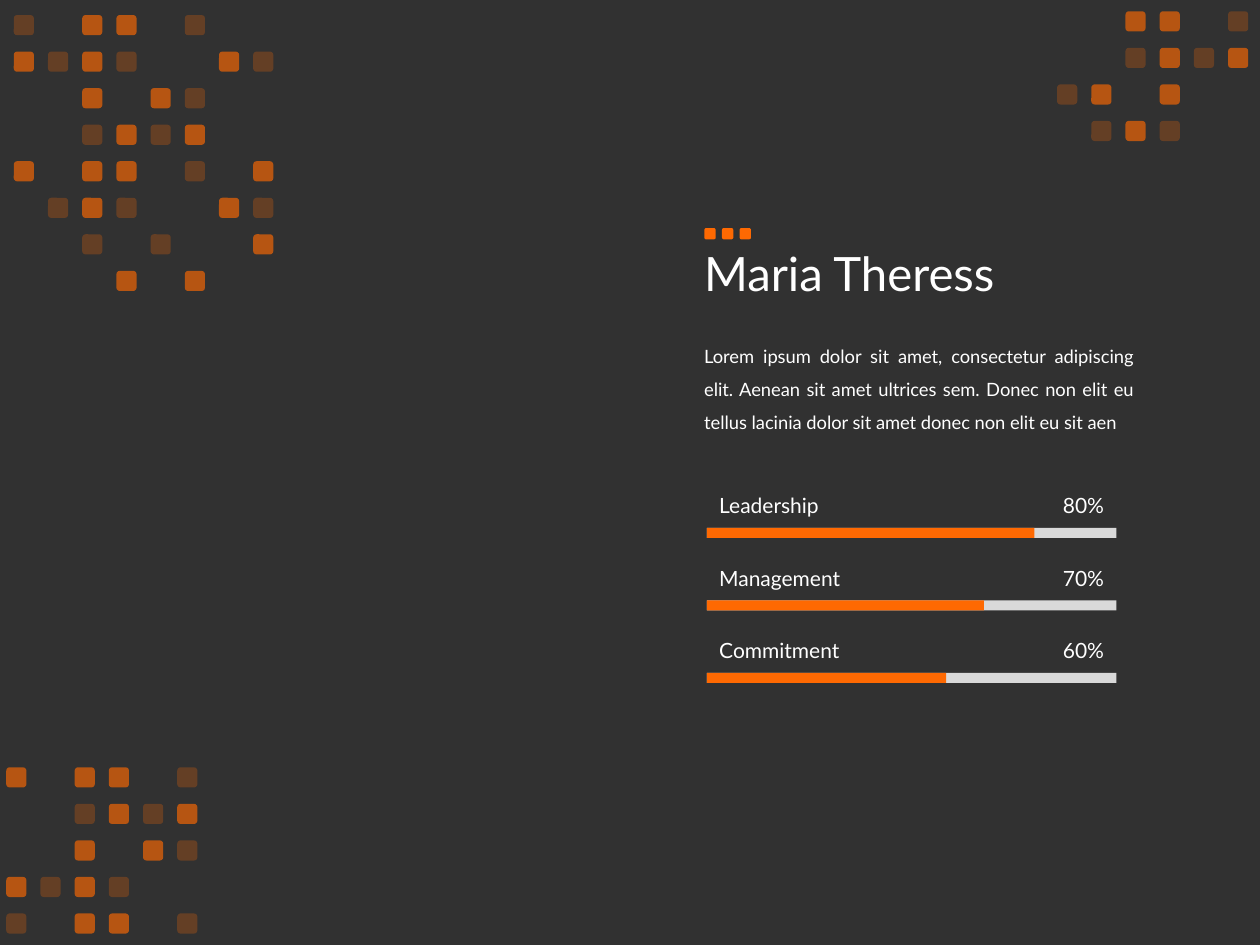
from lxml.etree import SubElement
from pptx import Presentation
from pptx.dml.color import RGBColor
from pptx.enum.shapes import MSO_SHAPE
from pptx.enum.text import MSO_ANCHOR, PP_ALIGN
from pptx.oxml.ns import qn
from pptx.util import Inches, Pt

BACKGROUND = RGBColor(0x31, 0x31, 0x31)
ORANGE = RGBColor(0xFE, 0x69, 0x02)
GREY = RGBColor(0xD9, 0xD9, 0xD9)
WHITE = RGBColor(0xFF, 0xFF, 0xFF)

NAME = "Maria Theress"
BIOGRAPHY = (
    "Lorem ipsum dolor sit amet, consectetur adipiscing elit. "
    "Aenean sit amet ultrices sem. Donec non elit eu tellus lacinia "
    "dolor sit amet donec non elit eu sit aen"
)
# label, value, length of the filled part
SKILLS = [
    ("Leadership", "80%", 2.6),
    ("Management", "70%", 2.2),
    ("Commitment", "60%", 1.9),
]

# Opacity in percent of each kind of square; "." is an empty cell
OPACITY = {"#": 65, "+": 25}
# left, top, rows
MOSAICS = [
    (0.05, 6.09, ["#.##.+",
                  "..+#+#",
                  "..#.#+",
                  "#+#+..",
                  "+.##.+"]),
    (0.11, 0.12, ["+.##.+..",
                  "#+#+..#+",
                  "..#.#+..",
                  "..+#+#..",
                  "#.##.+.#",
                  ".+#+..#+",
                  "..+.+..#",
                  "...#.#.."]),
    (8.39, 0.09, ["..##.+",
                  "..+#+#",
                  "+#.#..",
                  ".+#+.."]),
]
SQUARE = 0.16
COLUMN_STEP = 1.9 / 7
ROW_STEP = 0.29

BAR_LEFT, BAR_TOP, BAR_WIDTH, BAR_HEIGHT = 5.61, 4.19, 3.25, 0.08
BAR_STEP = 1.15 / 2
VALUE_WIDTH = 0.79


def add_block(slide, kind, left, top, width, height, color, opacity=100):
    shape = slide.shapes.add_shape(
        kind, Inches(left), Inches(top), Inches(width), Inches(height))
    shape.shadow.inherit = False
    shape.line.fill.background()
    shape.fill.solid()
    shape.fill.fore_color.rgb = color
    if opacity < 100:
        color_element = shape.fill._xPr.find(qn("a:solidFill"))[0]
        SubElement(color_element, qn("a:alpha"), val=str(opacity * 1000))


def add_text(slide, text, left, top, width, height, size,
             align=PP_ALIGN.LEFT, anchor=MSO_ANCHOR.MIDDLE, spacing=1.0):
    box = slide.shapes.add_textbox(
        Inches(left), Inches(top), Inches(width), Inches(height))
    frame = box.text_frame
    frame.word_wrap = True
    frame.vertical_anchor = anchor
    paragraph = frame.paragraphs[0]
    paragraph.text = text
    paragraph.alignment = align
    paragraph.line_spacing = spacing
    paragraph.font.name = "Lato"
    paragraph.font.size = Pt(size)
    paragraph.font.color.rgb = WHITE


def add_mosaic(slide, left, top, rows):
    for row, cells in enumerate(rows):
        for column, cell in enumerate(cells):
            if cell in OPACITY:
                add_block(slide, MSO_SHAPE.ROUNDED_RECTANGLE,
                          left + column * COLUMN_STEP, top + row * ROW_STEP,
                          SQUARE, SQUARE, ORANGE, OPACITY[cell])


def add_skill(slide, top, label, value, filled):
    for width, color in ((BAR_WIDTH, GREY), (filled, ORANGE)):
        add_block(slide, MSO_SHAPE.RECTANGLE,
                  BAR_LEFT, top, width, BAR_HEIGHT, color)
    text_top = top - 0.33
    add_text(slide, label, BAR_LEFT, text_top, 1.55, 0.3, 12)
    add_text(slide, value, BAR_LEFT + BAR_WIDTH - VALUE_WIDTH, text_top,
             VALUE_WIDTH, 0.3, 12, align=PP_ALIGN.RIGHT)


def main():
    presentation = Presentation()
    presentation.slide_width = Inches(10)
    presentation.slide_height = Inches(7.5)
    slide = presentation.slides.add_slide(presentation.slide_layouts[6])
    slide.background.fill.solid()
    slide.background.fill.fore_color.rgb = BACKGROUND

    for mosaic in MOSAICS:
        add_mosaic(slide, *mosaic)

    add_text(slide, NAME, 5.49, 1.47, 4.4, 1.45, 27, spacing=0.9)
    add_text(slide, BIOGRAPHY, 5.49, 2.6, 3.61, 0.86, 10.5,
             align=PP_ALIGN.JUSTIFY, anchor=MSO_ANCHOR.TOP, spacing=1.5)
    for index, skill in enumerate(SKILLS):
        add_skill(slide, BAR_TOP + index * BAR_STEP, *skill)
    for index in range(3):
        add_block(slide, MSO_SHAPE.ROUNDED_RECTANGLE,
                  5.59 + index * 0.14, 1.81, 0.09, 0.09, ORANGE)

    presentation.save("out.pptx")


if __name__ == "__main__":
    main()
